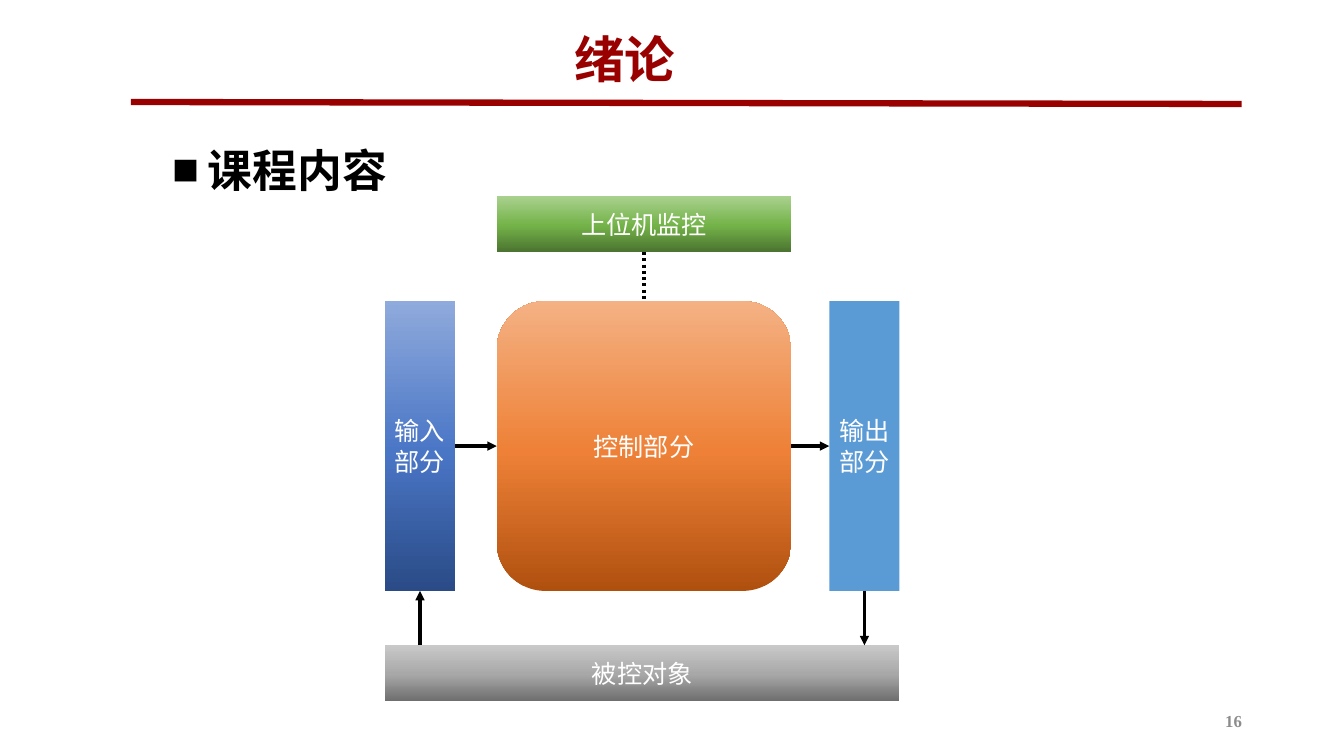
from copy import deepcopy
from lxml import etree
from pptx import Presentation
from pptx import util as u
from pptx.dml.color import RGBColor
from pptx.enum import dml, shapes, text
from pptx.oxml.ns import qn

Cm, Pt = u.Cm, u.Pt
CJK, LATIN = "Noto Sans CJK SC", "Times New Roman"
RED = RGBColor(0x99, 0x00, 0x00)
BLACK = RGBColor(0x00, 0x00, 0x00)
WHITE = RGBColor(0xFF, 0xFF, 0xFF)
GREY = RGBColor(0x8C, 0x8C, 0x8C)
SKY = RGBColor(0x5B, 0x9B, 0xD5)
# Gradients run from bottom to top
BLUES = [RGBColor(0x2A, 0x4B, 0x86), RGBColor(0x4A, 0x76, 0xC6), RGBColor(0x8F, 0xAA, 0xDC)]
GREYS = [RGBColor(0x6F, 0x6F, 0x6F), RGBColor(0xA8, 0xA8, 0xA8), RGBColor(0xC9, 0xC9, 0xC9)]
GREENS = [RGBColor(0x4B, 0x74, 0x30), RGBColor(0x74, 0xB3, 0x49), RGBColor(0xA9, 0xD1, 0x8E)]
ORANGES = [RGBColor(0xB0, 0x50, 0x0F), RGBColor(0xEE, 0x81, 0x37), RGBColor(0xF4, 0xB1, 0x83)]

prs = Presentation()
prs.slide_width, prs.slide_height = Cm(33.87), Cm(19.05)
s = prs.slides.add_slide(prs.slide_layouts[6])


def write(sp, words, color, align, **fmt):
    p = sp.text_frame.paragraphs[0]
    p.alignment = align
    r = p.add_run()
    r.text = words
    r.font.color.rgb = color
    for name, value in fmt.items():
        setattr(r.font, name, value)
    etree.SubElement(r.font._element, qn("a:ea"), typeface=fmt["name"])
    return p


def connect(x1, y1, x2, y2, color=BLACK, width=2.25, arrow=True):
    c = s.shapes.add_connector(shapes.MSO_CONNECTOR.STRAIGHT, Cm(x1), Cm(y1), Cm(x2), Cm(y2))
    c.line.color.rgb = color
    c.line.width = Pt(width)
    if arrow:
        etree.SubElement(c.line._get_or_add_ln(), qn("a:tailEnd"), type="triangle")
    etree.SubElement(c._element.spPr, qn("a:effectLst"))
    return c


# Title, heading and slide number
LEFT, CENTER, RIGHT = text.PP_ALIGN.LEFT, text.PP_ALIGN.CENTER, text.PP_ALIGN.RIGHT
TOP, MIDDLE = text.MSO_ANCHOR.TOP, text.MSO_ANCHOR.MIDDLE
connect(3.3, 2.57, 31.29, 2.62, RED, 4.5, arrow=False)
labels = [
    ("16", (23.93, 17.65, 7.62, 1.02), GREY, RIGHT, MIDDLE, True, 12, LATIN),
    ("绪论", (14.22, 0.58, 3.1, 1.8), RED, LEFT, TOP, False, 36, CJK),
    ("课程内容", (4.09, 2.79, 27.43, 3.28), BLACK, LEFT, TOP, True, 32, CJK),
]
for words, box, color, align, anchor, wrap, size, font in labels:
    sp = s.shapes.add_textbox(*map(Cm, box))
    sp.text_frame.word_wrap = wrap
    sp.text_frame.vertical_anchor = anchor
    p = write(sp, words, color, align, size=Pt(size), bold=True, name=font)

# Square bullet on the heading
p.line_spacing = 1.5
pPr = p._p.get_or_add_pPr()
pPr.set("marL", str(Cm(0.9)))
pPr.set("indent", str(Cm(-0.9)))
etree.SubElement(pPr, qn("a:buFont"), typeface=LATIN)
etree.SubElement(pPr, qn("a:buChar"), char="■")

# Blocks of the control system
side_w, side_h = 1.77, 7.3
bar_h = 1.4
in_x, ctrl_x, out_x = 9.7, 12.52, 20.9
ctrl_w = 7.42
mon_y, ctrl_y, obj_y = 4.95, 7.59, 16.26
RECT, ROUND = shapes.MSO_SHAPE.RECTANGLE, shapes.MSO_SHAPE.ROUNDED_RECTANGLE
blocks = [
    ("输入部分", RECT, (in_x, ctrl_y, side_w, side_h), BLUES),
    ("输出部分", RECT, (out_x, ctrl_y, side_w, side_h), SKY),
    ("被控对象", RECT, (in_x, obj_y, out_x + side_w - in_x, bar_h), GREYS),
    ("上位机监控", RECT, (ctrl_x, mon_y, ctrl_w, bar_h), GREENS),
    ("控制部分", ROUND, (ctrl_x, ctrl_y, ctrl_w, side_h), ORANGES),
]
for words, kind, box, paint in blocks:
    sp = s.shapes.add_shape(kind, *map(Cm, box))
    sp.shadow.inherit = False
    sp.line.fill.background()
    if paint is SKY:
        sp.fill.solid()
        sp.fill.fore_color.rgb = paint
    else:
        sp.fill.gradient()
        sp.fill.gradient_angle = 90
        gs_list = sp._element.spPr.find(".//" + qn("a:gsLst"))
        gs_list.append(deepcopy(gs_list[-1]))
        for stop, position, color in zip(sp.fill.gradient_stops, (0, 0.48, 1), paint):
            stop.position = position
            stop.color.rgb = color
    sp.text_frame.word_wrap = True
    sp.text_frame.vertical_anchor = MIDDLE
    write(sp, words, WHITE, CENTER, size=Pt(18), name=CJK)

# Links between the blocks
mid_x, mid_y = ctrl_x + ctrl_w / 2, ctrl_y + side_h / 2
in_mid, out_mid = in_x + side_w / 2, out_x + side_w / 2
bottom = ctrl_y + side_h
dotted = connect(mid_x, mon_y + bar_h, mid_x, ctrl_y, arrow=False)
dotted.line.dash_style = dml.MSO_LINE.ROUND_DOT
for ends in [
    (in_x + side_w, mid_y, ctrl_x, mid_y),
    (ctrl_x + ctrl_w, mid_y, out_x, mid_y),
    (out_mid, bottom, out_mid, obj_y),
    (in_mid, obj_y, in_mid, bottom),
]:
    connect(*ends)

prs.save("out.pptx")
